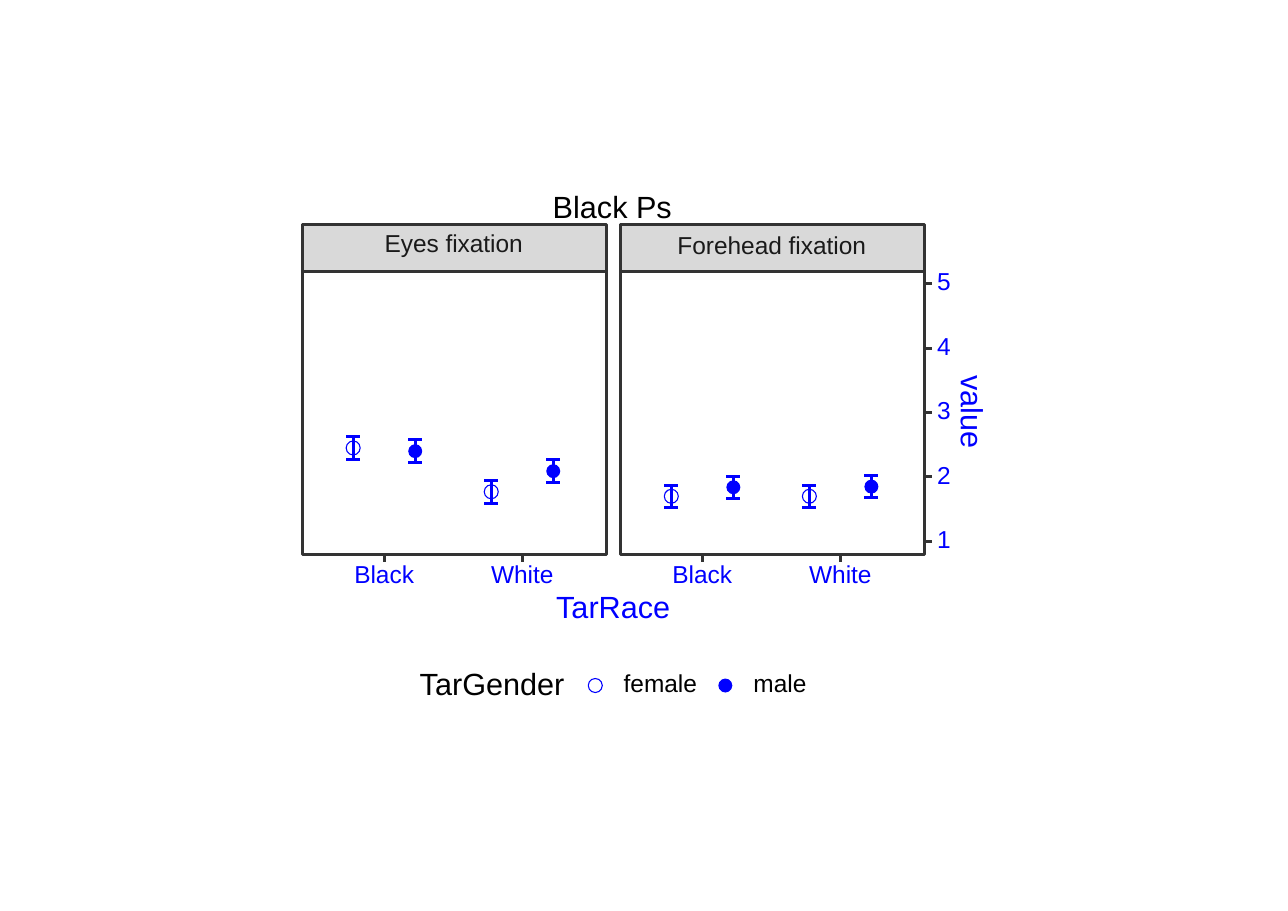
from pptx import Presentation
from pptx import util as u
from pptx.dml.color import RGBColor
from pptx.enum import shapes, text
from lxml import etree

PIXEL = 914400 / 110.1
DRAWING = "http://schemas.openxmlformats.org/drawingml/2006/main"
COLORS = {name: RGBColor.from_string(value) for name, value in {
    "data": "0000FF", "frame": "333333", "strip": "D9D9D9",
    "strip_text": "1A1A1A", "black": "000000", "white": "FFFFFF"}.items()}

deck = Presentation()
deck.slide_width, deck.slide_height = u.Cm(29.7), u.Cm(21)  # A4 landscape
page = deck.slides.add_slide(deck.slide_layouts[5])


def write(wording, left, top, width, height, color, size=16, box=None):
    """Write centred text in a new text box, or in the given box."""
    area = [round(n * PIXEL) for n in (left, top, width, height)]
    box = box or page.shapes.add_textbox(*area)
    box.left, box.top, box.width, box.height = area
    frame = box.text_frame
    frame.text = wording
    frame.word_wrap = False
    frame.auto_size = text.MSO_AUTO_SIZE.NONE
    frame.vertical_anchor = text.MSO_ANCHOR.MIDDLE
    frame.margin_left = frame.margin_right = frame.margin_top = frame.margin_bottom = 0
    para = frame.paragraphs[0]
    para.alignment = text.PP_ALIGN.CENTER
    para.line_spacing = u.Pt(size)
    font = para.runs[0].font
    font.name, font.size, font.color.rgb = "Arial", u.Pt(size), COLORS[color]
    return box


def draw(kind, left, top, width, height, line=None, weight=1.94, fill=None):
    """Draw a preset shape, or a straight line when kind is None."""
    x, y, w, h = [round(n * PIXEL) for n in (left, top, width, height)]
    if kind is None:
        item = page.shapes.add_connector(shapes.MSO_CONNECTOR.STRAIGHT, x, y, x + w, y + h)
        etree.SubElement(item._element.spPr, f"{{{DRAWING}}}effectLst")
    else:
        item = page.shapes.add_shape(kind, x, y, w, h)
        item.shadow.inherit = False
        if fill:
            item.fill.solid()
            item.fill.fore_color.rgb = COLORS[fill]
        else:
            item.fill.background()
    if line:
        item.line.color.rgb = COLORS[line]
        item.line.width = u.Pt(weight)
    else:
        item.line.fill.background()


RECT = shapes.MSO_SHAPE.RECTANGLE
OVAL = shapes.MSO_SHAPE.OVAL
LINE = None
MARKERS = {"female": {"line": "data", "weight": 0.71}, "male": {"fill": "data"}}
DODGE = {"female": -31, "male": 31}
DOT = 14
PANEL_TOP, PANEL_BOTTOM, PANEL_WIDTH = 271, 554, 304
STRIP_TOP = 224
TICK = 8
ONE_Y, UNIT = 541, 64.4
RACES = [("Black", 82, 59), ("White", 220, 63)]

# Facets: name, left edge, label area, error, means by race and gender
facets = [
    ("Eyes fixation", 302, (384, 233, 139, 23), 0.18,
     {"Black": {"female": 2.45, "male": 2.40}, "White": {"female": 1.77, "male": 2.09}}),
    ("Forehead fixation", 620, (677, 238, 189, 18), 0.17,
     {"Black": {"female": 1.70, "male": 1.84}, "White": {"female": 1.70, "male": 1.85}}),
]

write("Black Ps", 542, 198, 140, 22, "black", 20, page.shapes.title)

for facet, left, label_area, error, means in facets:
    draw(RECT, left, PANEL_TOP, PANEL_WIDTH, PANEL_BOTTOM - PANEL_TOP, "frame", fill="white")
    draw(RECT, left, STRIP_TOP, PANEL_WIDTH, PANEL_TOP - STRIP_TOP, "frame", fill="strip")
    write(facet, *label_area, "strip_text")
    for race, offset, label_width in RACES:
        tick_x = left + offset
        draw(LINE, tick_x, PANEL_BOTTOM, 0, TICK, "frame")
        write(race, tick_x - label_width / 2, 567, label_width, 18, "data")
        for gender, mean in means[race].items():
            x, y = tick_x + DODGE[gender], ONE_Y - (mean - 1) * UNIT
            reach = error * UNIT
            draw(OVAL, x - DOT / 2, y - DOT / 2, DOT, DOT, **MARKERS[gender])
            draw(LINE, x, y - reach, 0, 2 * reach, "data", 2.13)
            for cap_y in (y - reach, y + reach):
                draw(LINE, x - DOT / 2, cap_y, DOT, 0, "data", 2.13)

# Value axis on the right
axis_x = facets[-1][1] + PANEL_WIDTH
for value in range(1, 6):
    y = ONE_Y - (value - 1) * UNIT
    draw(LINE, axis_x, y, TICK, 0, "frame")
    write(str(value), 937, y - 9, 13, 18, "data")

write("TarRace", 554, 598, 118, 22, "data", 20)
write("value", 933, 401, 73, 22, "data", 20).rotation = 90

# Legend
write("TarGender", 418, 674, 148, 23, "black", 20)
for gender, dot_left, label_left, label_width in [("female", 588, 623, 74), ("male", 718, 753, 53)]:
    draw(OVAL, dot_left, 678, DOT, DOT, **MARKERS[gender])
    write(gender, label_left, 676, label_width, 18, "black")

deck.save("out.pptx")
